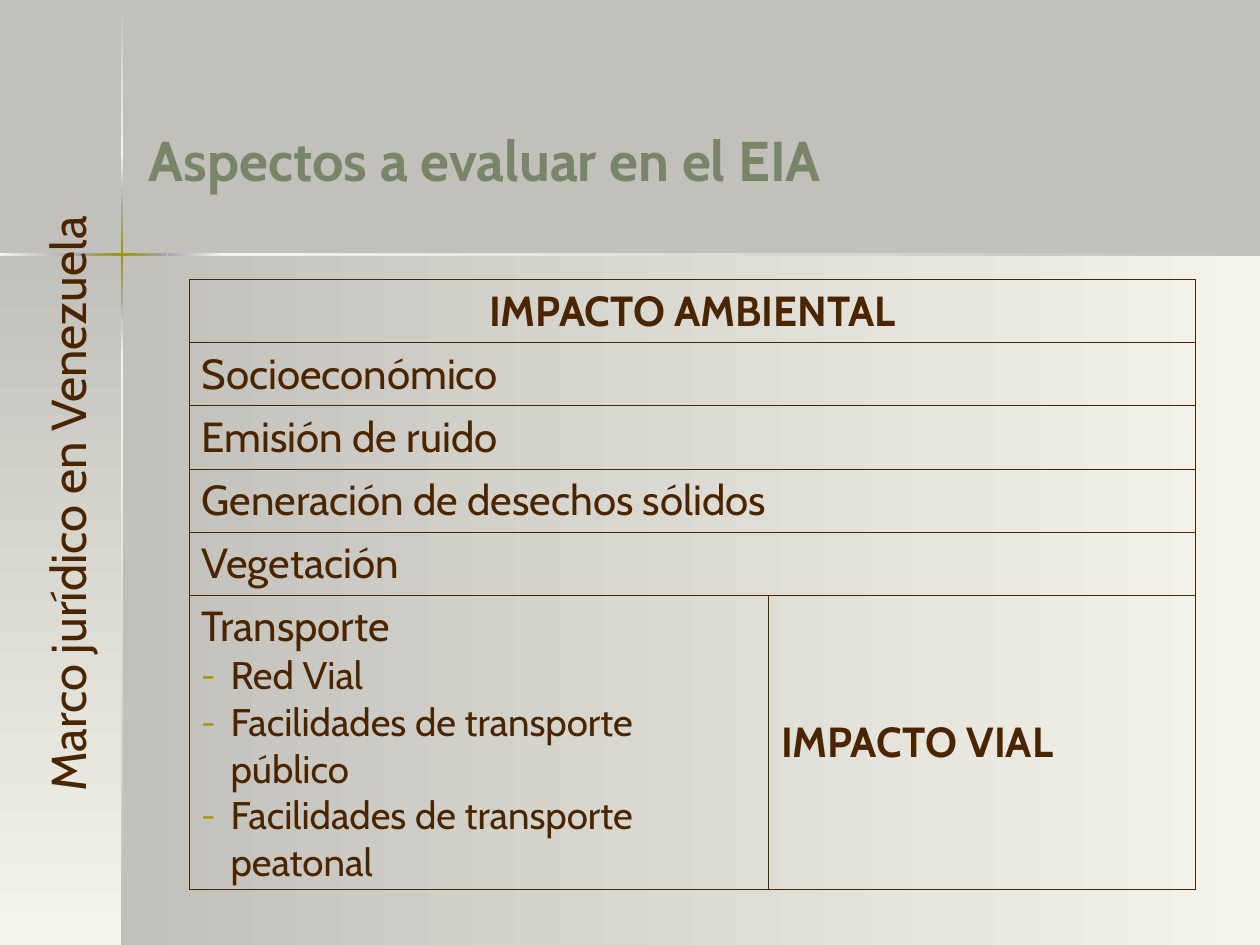
import pptx
import pptx.dml.color
import pptx.enum.shapes
import pptx.enum.text
import pptx.oxml
import pptx.oxml.ns
import pptx.util
from lxml import etree

Inches = pptx.util.Inches
Pt = pptx.util.Pt
RGBColor = pptx.dml.color.RGBColor
Align = pptx.enum.text.PP_ALIGN
Anchor = pptx.enum.text.MSO_ANCHOR
qn = pptx.oxml.ns.qn

STONE = RGBColor(0xC2, 0xC0, 0xBA)
IVORY = RGBColor(0xF4, 0xF4, 0xEC)
STEEL = RGBColor(0xA5, 0xA7, 0xAF)
OLIVE = RGBColor(0x9C, 0x98, 0x00)
SAGE = RGBColor(0x78, 0x85, 0x69)
BROWN = RGBColor(0x4A, 0x25, 0x00)
FONT = "Cabin"

# Angles run counter-clockwise, as gradient_angle expects.
DOWNWARD, LEFTWARD = 270, 180
CROSS_X, CROSS_Y, RULE_WIDTH = 0.96, 2.01, 0.02
PANEL_X, PANEL_Y = 0.97, 2.02
GLOW = (STEEL, OLIVE, STEEL)

# Each segment: start, end, colours.
VERTICAL_RULE = [
    (0.01, 1.21, (STONE, IVORY)),
    (1.21, 1.65, (IVORY, STEEL)),
    (1.65, 2.38, GLOW),
    (2.38, 2.82, (STEEL, IVORY)),
    (2.82, 7.5, (IVORY, STONE)),
]
HORIZONTAL_RULE = [
    (0, 0.6, (STEEL, IVORY)),
    (0.6, 1.33, GLOW),
    (1.33, 1.77, (IVORY, STEEL)),
    (1.77, 10, (STONE, IVORY)),
]

ASPECTS = ["Socioeconómico", "Emisión de ruido", "Generación de desechos sólidos", "Vegetación"]
TRANSPORT = ["Red Vial", "Facilidades de transporte público", "Facilidades de transporte peatonal"]


def add_gradient_block(slide, left, top, width, height, colors, angle):
    shape = slide.shapes.add_shape(
        pptx.enum.shapes.MSO_SHAPE.RECTANGLE,
        Inches(left), Inches(top), Inches(width), Inches(height))
    shape.shadow.inherit = False
    shape.line.fill.background()
    shape.fill.gradient()
    shape.fill.gradient_angle = angle
    stops = shape._element.spPr.find(".//" + qn("a:gsLst"))
    for stop in list(stops):
        stops.remove(stop)
    for index, color in enumerate(colors):
        position = 100000 * index // (len(colors) - 1)
        stop = etree.SubElement(stops, qn("a:gs"), pos=str(position))
        etree.SubElement(stop, qn("a:srgbClr"), val=str(color))


def add_backdrop(slide):
    slide.background.fill.solid()
    slide.background.fill.fore_color.rgb = STONE
    height = 7.5 - PANEL_Y
    add_gradient_block(slide, PANEL_X, PANEL_Y, 10 - PANEL_X, height, (IVORY, STONE), LEFTWARD)
    add_gradient_block(slide, 0, PANEL_Y, PANEL_X, height, (STONE, IVORY), DOWNWARD)
    for start, end, colors in VERTICAL_RULE:
        add_gradient_block(slide, CROSS_X, start, RULE_WIDTH, end - start, colors, DOWNWARD)
    for start, end, colors in HORIZONTAL_RULE:
        add_gradient_block(slide, start, CROSS_Y, end - start, RULE_WIDTH, colors, LEFTWARD)


def format_paragraph(paragraph, size, color=BROWN, bold=False, alignment=Align.LEFT):
    paragraph.alignment = alignment
    for run in paragraph.runs:
        run.font.name = FONT
        run.font.size = Pt(size)
        run.font.bold = bold
        run.font.color.rgb = color


def add_text(slide, left, top, width, height, text, anchor=Anchor.TOP, rotation=0, **style):
    box = slide.shapes.add_textbox(Inches(left), Inches(top), Inches(width), Inches(height))
    box.rotation = rotation
    text_frame = box.text_frame
    text_frame.word_wrap = True
    text_frame.vertical_anchor = anchor
    text_frame.text = text
    format_paragraph(text_frame.paragraphs[0], **style)


def add_dash(paragraph):
    properties = paragraph._p.get_or_add_pPr()
    properties.set("marL", str(Inches(0.23)))
    properties.set("indent", str(-Inches(0.23)))
    color = etree.SubElement(properties, qn("a:buClr"))
    etree.SubElement(color, qn("a:srgbClr"), val=str(OLIVE))
    etree.SubElement(properties, qn("a:buSzPct"), val="70000")
    etree.SubElement(properties, qn("a:buFont"), typeface=FONT)
    etree.SubElement(properties, qn("a:buChar"), char="–")


def outline_cell(cell):
    """Leave the cell unfilled, with a thin line on all four sides."""
    cell.fill.background()
    properties = cell._tc.get_or_add_tcPr()
    for index, side in enumerate(("a:lnL", "a:lnR", "a:lnT", "a:lnB")):
        line = etree.Element(qn(side), w=str(Pt(0.45)))
        fill = etree.SubElement(line, qn("a:solidFill"))
        etree.SubElement(fill, qn("a:srgbClr"), val=str(BROWN))
        properties.insert(index, line)


def fill_cell(cell, text, **style):
    cell.text_frame.text = text
    format_paragraph(cell.text_frame.paragraphs[0], size=24, **style)


def add_impact_table(slide):
    row_heights = [0.5] * (len(ASPECTS) + 1) + [2.34]
    column_widths = [4.6, 3.39]
    table = slide.shapes.add_table(
        len(row_heights), len(column_widths), Inches(1.5), Inches(2.22),
        Inches(sum(column_widths)), Inches(sum(row_heights))).table
    table.first_row = False
    table.horz_banding = False
    for column, width in zip(table.columns, column_widths):
        column.width = Inches(width)
    for row, height in zip(table.rows, row_heights):
        row.height = Inches(height)
    for cell in table.iter_cells():
        outline_cell(cell)

    last = len(row_heights) - 1
    for index in range(last):
        table.cell(index, 0).merge(table.cell(index, 1))
    fill_cell(table.cell(0, 0), "IMPACTO AMBIENTAL", bold=True, alignment=Align.CENTER)
    for index, aspect in enumerate(ASPECTS, start=1):
        fill_cell(table.cell(index, 0), aspect, alignment=Align.JUSTIFY)

    transport_cell = table.cell(last, 0)
    fill_cell(transport_cell, "Transporte")
    for item in TRANSPORT:
        paragraph = transport_cell.text_frame.add_paragraph()
        paragraph.text = item
        add_dash(paragraph)
        format_paragraph(paragraph, size=22)

    road_cell = table.cell(last, 1)
    road_cell.vertical_anchor = Anchor.MIDDLE
    fill_cell(road_cell, "IMPACTO VIAL", bold=True)


def main():
    presentation = pptx.Presentation()
    presentation.slide_width = Inches(10)
    presentation.slide_height = Inches(7.5)
    slide = presentation.slides.add_slide(presentation.slide_layouts[6])
    add_backdrop(slide)
    add_text(slide, 1.08, 0.58, 8.42, 1, "Aspectos a evaluar en el EIA",
             anchor=Anchor.BOTTOM, size=32, color=SAGE, bold=True)
    add_impact_table(slide)
    add_text(slide, -1.9, 3.48, 5.33, 1.04, "Marco jurídico en Venezuela",
             rotation=270, size=28, alignment=Align.CENTER)
    presentation.save("out.pptx")


if __name__ == "__main__":
    main()
